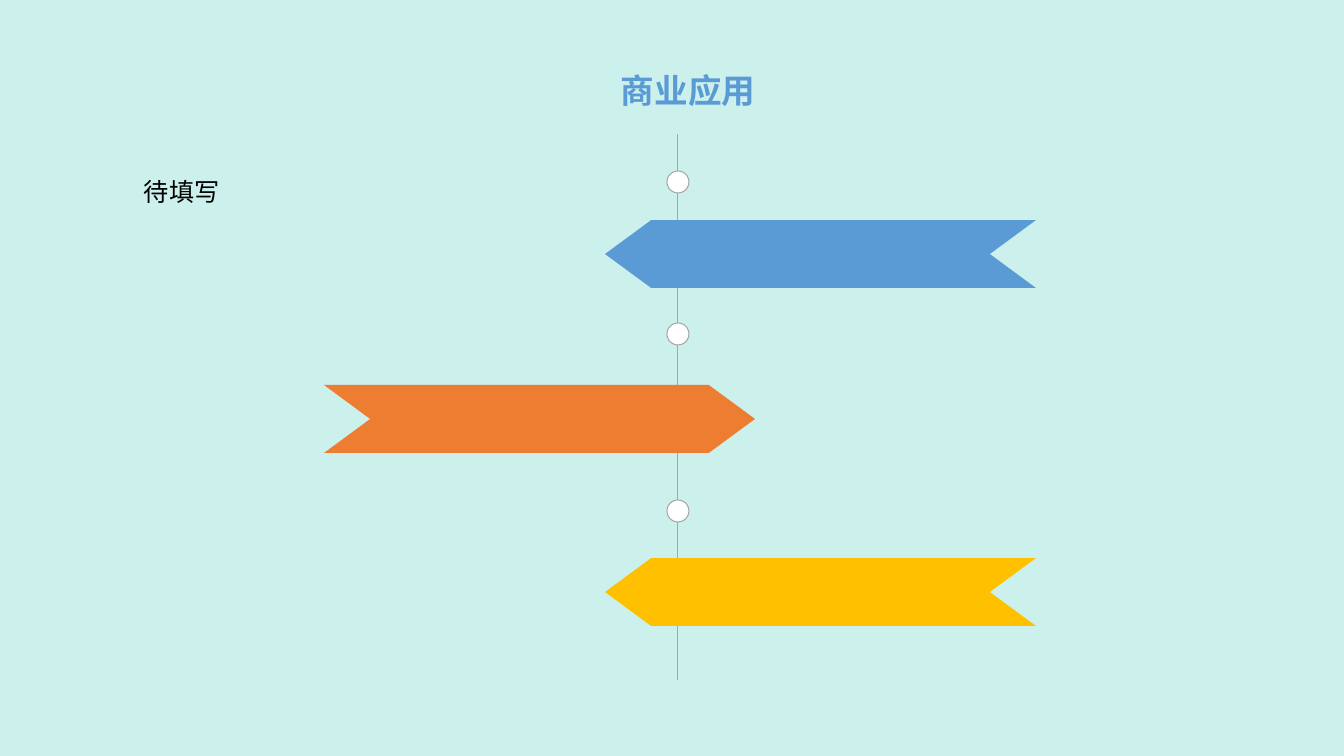
from lxml.etree import SubElement
from pptx import Presentation
from pptx.dml.color import RGBColor
from pptx.enum.shapes import MSO_CONNECTOR, MSO_SHAPE
from pptx.enum.text import MSO_AUTO_SIZE
from pptx.oxml.ns import qn
from pptx.util import Emu, Pt

SCALE = 914400 / 100.8
HAN = "Noto Sans CJK SC"
GREY = "A6A6A6"
DOT = 22
BAND = (431, 68)
# dot centre, band left and top (from the axis), turn, colour
STEPS = [
    (48, -73, 86, 180, "5B9BD5"),
    (200, -354, 251, 0, "ED7D31"),
    (377, -73, 424, 180, "FFC000"),
]


def px(n):
    return Emu(round(n * SCALE))


def color(code):
    return RGBColor.from_string(code)


def paint(target, code):
    target.fill.solid()
    target.fill.fore_color.rgb = color(code)


def stroke(line):
    line.color.rgb = color(GREY)
    line.width = Pt(0.75)


def label(slide, box, text, hue, style):
    frame = slide.shapes.add_textbox(*map(px, box)).text_frame
    frame.word_wrap = True
    frame.auto_size = MSO_AUTO_SIZE.SHAPE_TO_FIT_TEXT
    run = frame.paragraphs[0].add_run()
    run.text = text
    for key, value in style.items():
        setattr(run.font, key, value)
    run.font.color.rgb = color(hue)
    SubElement(run.font._element, qn("a:ea"), typeface=HAN)


def shape(slide, kind, box, hue):
    item = slide.shapes.add_shape(kind, *map(px, box))
    item.shadow.inherit = False
    paint(item, hue)
    return item


def axis(slide, x, top, size):
    line = slide.shapes.add_connector(
        MSO_CONNECTOR.STRAIGHT, px(x), px(top), px(x), px(top + size))
    stroke(line.line)
    SubElement(line._element.spPr, qn("a:effectLst"))


def timeline(slide, x, top, size):
    axis(slide, x, top, size)
    for mid, left, down, turn, hue in STEPS:
        box = (x - DOT / 2, top + mid - DOT / 2, DOT, DOT)
        stroke(shape(slide, MSO_SHAPE.OVAL, box, "FFFFFF").line)
        band = shape(slide, MSO_SHAPE.CHEVRON, (x + left, top + down, *BAND), hue)
        band.line.fill.background()
        band.adjustments[0] = 0.68
        band.rotation = turn


def main():
    deck = Presentation()
    deck.slide_width, deck.slide_height = px(1344), px(756)
    slide = deck.slides.add_slide(deck.slide_layouts[6])
    paint(slide.background, "CCF0EB")
    label(slide, (611, 65, 205, 50), "商业应用", "5B9BD5",
          {"name": HAN, "size": Pt(24), "bold": True})
    timeline(slide, 678, 134, 546)
    label(slide, (134, 171, 350, 40), "待填写", "000000",
          {"name": "Calibri", "size": Pt(18)})
    deck.save("out.pptx")


if __name__ == "__main__":
    main()
